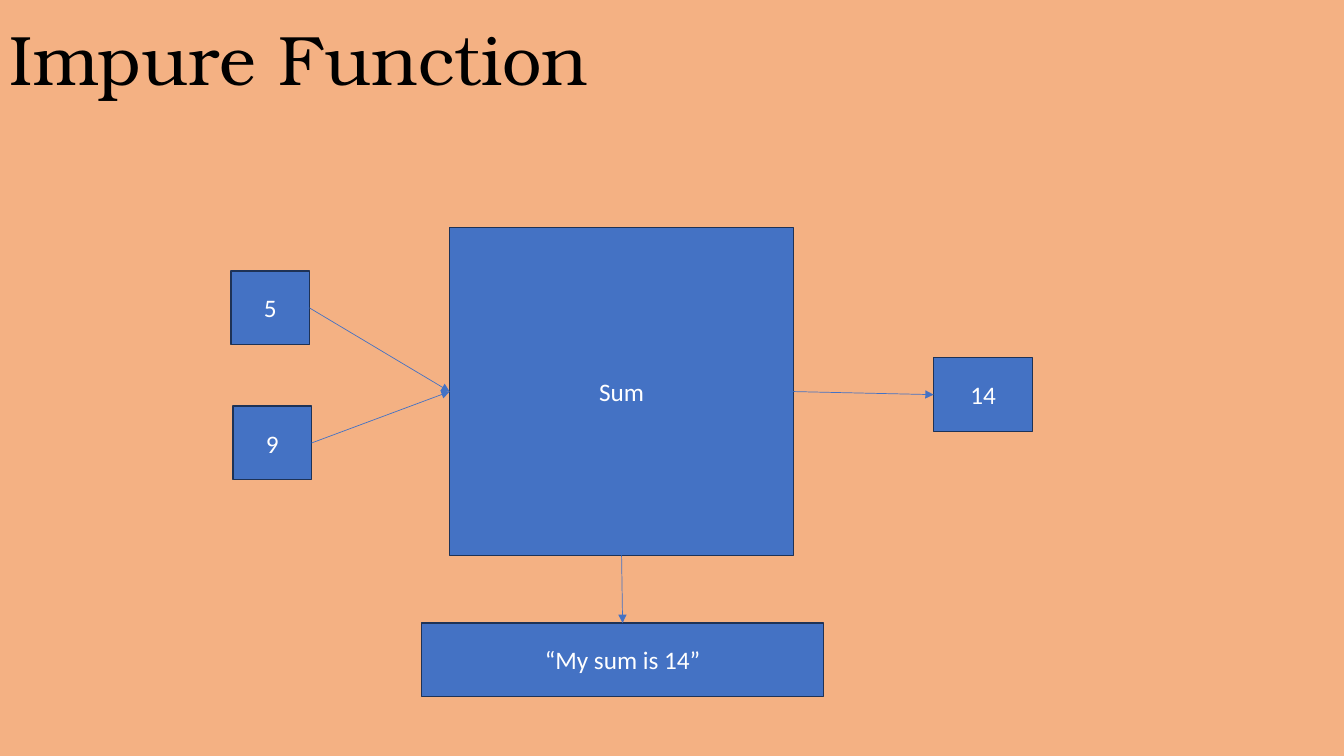
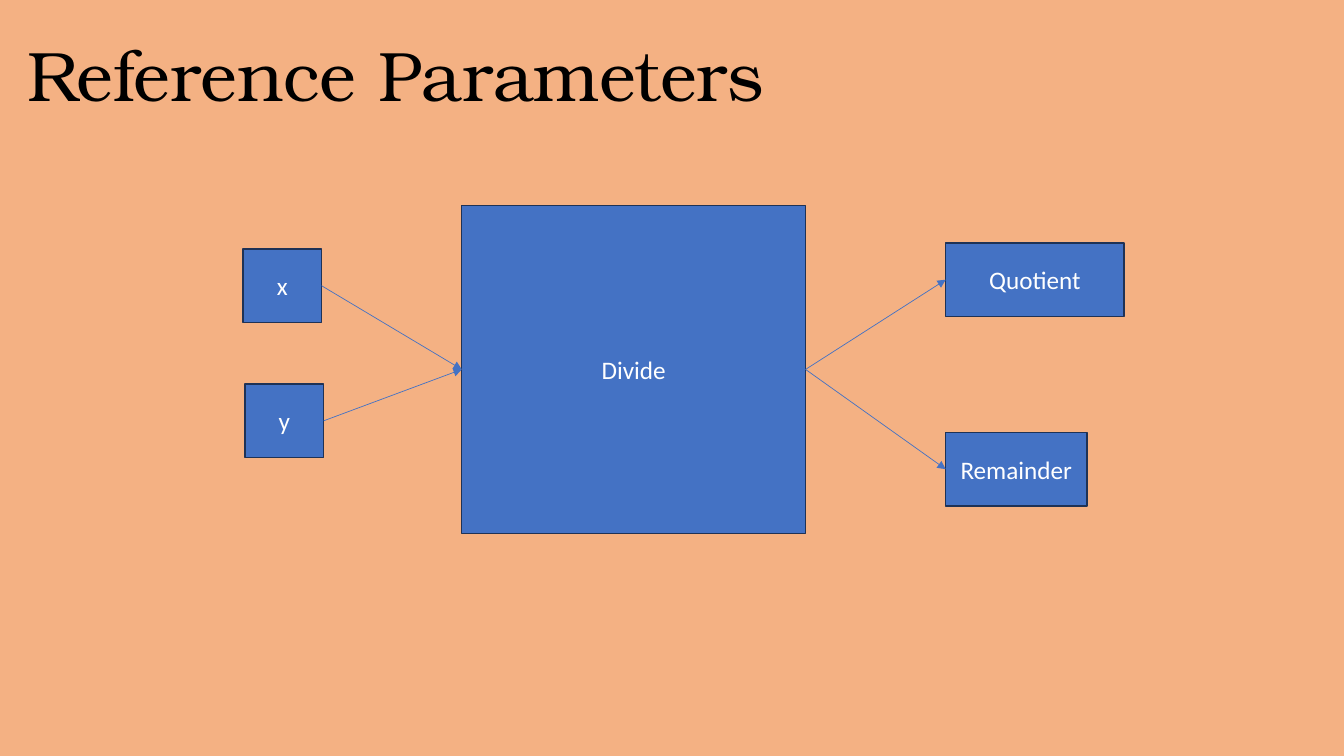
import dataclasses

import lxml.etree
import pptx
import pptx.dml.color
import pptx.enum.shapes
import pptx.enum.text
import pptx.oxml.ns
import pptx.util


@dataclasses.dataclass(frozen=True)
class Theme:
    background: str = "F4B183"
    title_color: str = "000000"
    box_fill: str = "4472C4"
    box_border: str = "1E3256"
    box_text: str = "FFFFFF"
    title_font: str = "TeX Gyre Bonum"
    body_font: str = "Calibri"
    title_size: float = 50
    body_size: float = 18
    border_width: float = 1
    arrow_width: float = 0.5


THEME = Theme()
SLIDE_SIZE = (13.33, 7.5)
TITLE_SIZE = (13, 0.94)
FUNCTION_SIZE = (3.41, 3.25)
INPUT_WIDTH = 0.78
VALUE_HEIGHT = 0.73
# Offsets from the top left corner of the function box
INPUT_OFFSETS = ((-2.17, 0.43), (-2.15, 1.77))
OUTPUT_OFFSET_X = 4.8
MESSAGE_OFFSET = (-0.28, 3.92)
MESSAGE_WIDTH = 3.99
# Connection sites of a rectangle
TOP, LEFT, BOTTOM, RIGHT = range(4)

# Each output is (label, width, offset below the top of the function box).
DIAGRAMS = [
    {
        "title": "Impure Function",
        "title_position": (0, 0.1),
        "function": "Sum",
        "function_position": (4.46, 2.26),
        "inputs": ("5", "9"),
        "outputs": [("14", 0.98, 1.29)],
        "message": "“My sum is 14”",
    },
    {
        "title": "Reference Parameters",
        "title_position": (0.17, 0.26),
        "function": "Divide",
        "function_position": (4.58, 2.04),
        "inputs": ("x", "y"),
        "outputs": [("Quotient", 1.77, 0.37), ("Remainder", 1.4, 2.25)],
        "message": None,
    },
]


def color(value):
    return pptx.dml.color.RGBColor.from_string(value)


def inches(*values):
    return [pptx.util.Inches(value) for value in values]


def set_text(shape, text, font_name, size, text_color, alignment):
    frame = shape.text_frame
    frame.word_wrap = True
    frame.vertical_anchor = pptx.enum.text.MSO_ANCHOR.MIDDLE
    frame.text = text
    paragraph = frame.paragraphs[0]
    paragraph.alignment = alignment
    font = paragraph.runs[0].font
    font.name = font_name
    font.size = pptx.util.Pt(size)
    font.color.rgb = color(text_color)


def add_title(slide, text, position):
    title = slide.shapes.add_textbox(*inches(*position, *TITLE_SIZE))
    set_text(title, text, THEME.title_font, THEME.title_size,
             THEME.title_color, pptx.enum.text.PP_ALIGN.LEFT)
    title.text_frame.auto_size = pptx.enum.text.MSO_AUTO_SIZE.SHAPE_TO_FIT_TEXT


def add_box(slide, text, origin, offset, size):
    left, top = (start + shift for start, shift in zip(origin, offset))
    box = slide.shapes.add_shape(
        pptx.enum.shapes.MSO_SHAPE.RECTANGLE, *inches(left, top, *size))
    box.shadow.inherit = False
    box.fill.solid()
    box.fill.fore_color.rgb = color(THEME.box_fill)
    box.line.color.rgb = color(THEME.box_border)
    box.line.width = pptx.util.Pt(THEME.border_width)
    set_text(box, text, THEME.body_font, THEME.body_size,
             THEME.box_text, pptx.enum.text.PP_ALIGN.CENTER)
    return box


def add_arrow(slide, source, source_site, target, target_site):
    arrow = slide.shapes.add_connector(
        pptx.enum.shapes.MSO_CONNECTOR.STRAIGHT, 0, 0, 0, 0)
    arrow.begin_connect(source, source_site)
    arrow.end_connect(target, target_site)
    arrow.line.color.rgb = color(THEME.box_fill)
    arrow.line.width = pptx.util.Pt(THEME.arrow_width)
    qualified = pptx.oxml.ns.qn
    properties = arrow.element.spPr
    outline = properties.find(qualified("a:ln"))
    lxml.etree.SubElement(outline, qualified("a:tailEnd"), type="triangle")
    lxml.etree.SubElement(properties, qualified("a:effectLst"))


def add_diagram(presentation, diagram):
    slide = presentation.slides.add_slide(presentation.slide_layouts[6])
    slide.background.fill.solid()
    slide.background.fill.fore_color.rgb = color(THEME.background)
    add_title(slide, diagram["title"], diagram["title_position"])

    origin = diagram["function_position"]
    function_box = add_box(
        slide, diagram["function"], origin, (0, 0), FUNCTION_SIZE)
    for label, offset in zip(diagram["inputs"], INPUT_OFFSETS):
        input_box = add_box(
            slide, label, origin, offset, (INPUT_WIDTH, VALUE_HEIGHT))
        add_arrow(slide, input_box, RIGHT, function_box, LEFT)
    for label, width, offset_y in diagram["outputs"]:
        output_box = add_box(slide, label, origin,
                             (OUTPUT_OFFSET_X, offset_y), (width, VALUE_HEIGHT))
        add_arrow(slide, function_box, RIGHT, output_box, LEFT)
    if diagram["message"]:
        message_box = add_box(slide, diagram["message"], origin,
                              MESSAGE_OFFSET, (MESSAGE_WIDTH, VALUE_HEIGHT))
        add_arrow(slide, function_box, BOTTOM, message_box, TOP)


def main():
    presentation = pptx.Presentation()
    presentation.slide_width, presentation.slide_height = inches(*SLIDE_SIZE)
    for diagram in DIAGRAMS:
        add_diagram(presentation, diagram)
    presentation.save("out.pptx")


if __name__ == "__main__":
    main()
